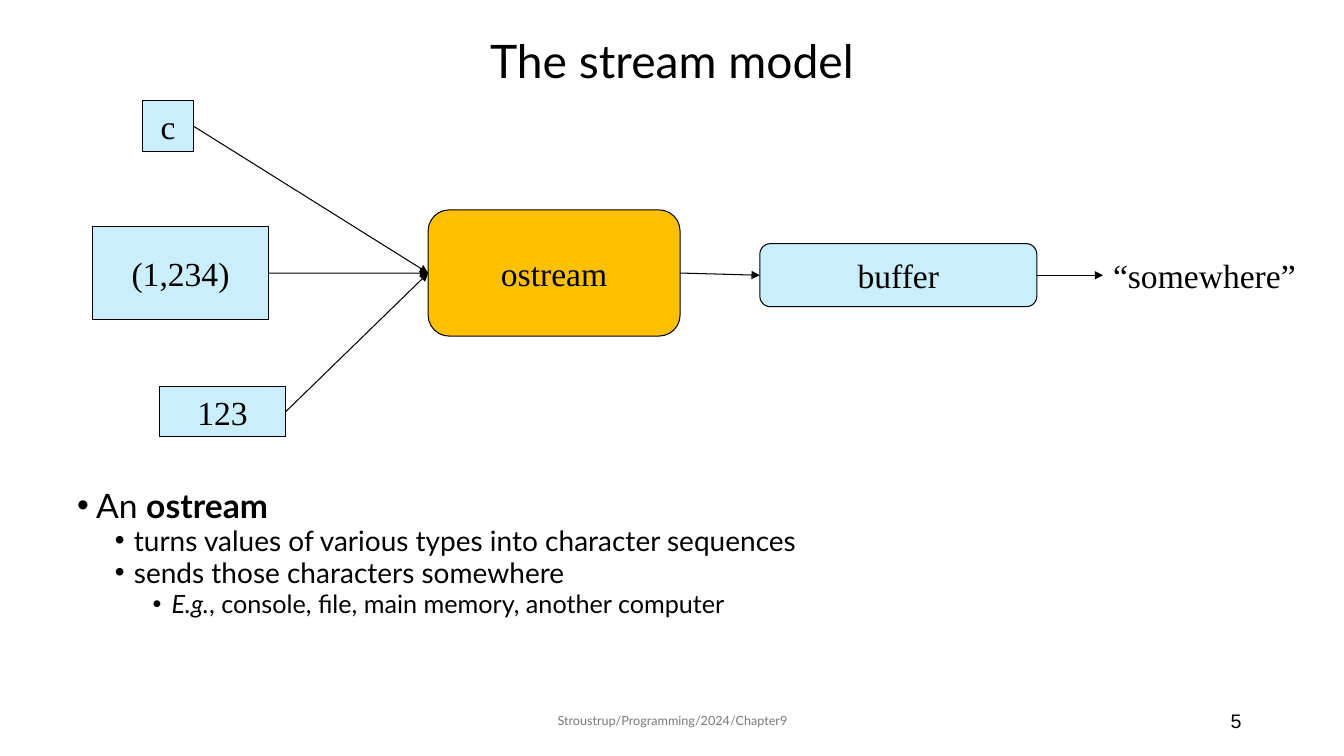
from pptx import Presentation
from pptx import util as u
from pptx.dml.color import RGBColor
from pptx.enum import shapes, text
from pptx.oxml.ns import qn
from lxml import etree

BLACK = RGBColor(0x00, 0x00, 0x00)
GRAY = RGBColor(0x79, 0x79, 0x79)
SKY = RGBColor(0xCA, 0xEE, 0xFB)
AMBER = RGBColor(0xFF, 0xC0, 0x00)

RECT = shapes.MSO_SHAPE.RECTANGLE
ROUNDED = shapes.MSO_SHAPE.ROUNDED_RECTANGLE
LEFT_SITE, RIGHT_SITE = 1, 3


def place(shape, box):
    shape.left, shape.top, shape.width, shape.height = (u.Cm(v) for v in box)


def style(paragraph, font_name, size, color=BLACK, align=None):
    paragraph.font.name = font_name
    paragraph.font.size = u.Pt(size)
    paragraph.font.color.rgb = color
    paragraph.alignment = align


def add_label(slide, box, words, font_name, size, color, align,
              anchor=text.MSO_ANCHOR.MIDDLE):
    label = slide.shapes.add_textbox(*(u.Cm(v) for v in box))
    frame = label.text_frame
    frame.word_wrap = True
    frame.vertical_anchor = anchor
    frame.text = words
    style(frame.paragraphs[0], font_name, size, color, align)
    return label


def add_node(slide, box, words, preset, fill):
    node = slide.shapes.add_shape(preset, *(u.Cm(v) for v in box))
    node.shadow.inherit = False
    node.fill.solid()
    node.fill.fore_color.rgb = fill
    node.line.color.rgb = BLACK
    node.line.width = u.Pt(0.75)
    frame = node.text_frame
    frame.word_wrap = False
    frame.vertical_anchor = text.MSO_ANCHOR.MIDDLE
    frame.text = words
    style(frame.paragraphs[0], "Times New Roman", 24, BLACK, text.PP_ALIGN.CENTER)
    return node


def add_arrow(slide, source, target):
    arrow = slide.shapes.add_connector(shapes.MSO_CONNECTOR.STRAIGHT, 0, 0, 0, 0)
    arrow.begin_connect(source, RIGHT_SITE)
    arrow.end_connect(target, LEFT_SITE)
    arrow.line.color.rgb = BLACK
    arrow.line.width = u.Pt(0.75)
    etree.SubElement(arrow.line._get_or_add_ln(), qn("a:tailEnd"), type="triangle")
    etree.SubElement(arrow._element.spPr, qn("a:effectLst"))


def add_title(slide, box):
    title = slide.shapes.title
    place(title, box)
    frame = title.text_frame
    frame.auto_size = text.MSO_AUTO_SIZE.NONE
    frame.vertical_anchor = text.MSO_ANCHOR.MIDDLE
    frame.text = "The stream model"
    style(frame.paragraphs[0], "Lato", 33, BLACK, text.PP_ALIGN.CENTER)
    frame.paragraphs[0].line_spacing = 0.9


def add_stream_diagram(slide, left, top):
    def at(dx, dy, width, height):
        return left + dx, top + dy, width, height

    char = add_node(slide, at(1.27, 0, 1.27, 1.27), "c", RECT, SKY)
    pair = add_node(slide, at(0, 3.18, 4.44, 2.33), "(1,234)", RECT, SKY)
    integer = add_node(slide, at(1.69, 7.2, 3.18, 1.27), "123", RECT, SKY)
    ostream = add_node(slide, at(8.46, 2.75, 6.35, 3.18), "ostream", ROUNDED, AMBER)
    buffer = add_node(slide, at(16.82, 3.6, 6.98, 1.59), "buffer", ROUNDED, SKY)
    somewhere = add_label(slide, at(25.47, 3.76, 5.51, 1.27), "“somewhere”",
                          "Times New Roman", 24, BLACK, text.PP_ALIGN.LEFT,
                          text.MSO_ANCHOR.TOP)
    for source, target in ((char, ostream), (pair, ostream), (integer, ostream),
                           (ostream, buffer), (buffer, somewhere)):
        add_arrow(slide, source, target)


def add_summary(slide, box):
    summary = slide.placeholders[1]
    place(summary, box)
    frame = summary.text_frame
    frame.auto_size = text.MSO_AUTO_SIZE.NONE
    points = (
        (0, (("An ", None, None), ("ostream", True, None))),
        (1, (("turns values of various types into character sequences", None, None),)),
        (1, (("sends those characters somewhere", None, None),)),
        (2, (("E.g.", None, True), (", console, file, main memory, another computer", None, None))),
    )
    sizes = (24, 20, 18)
    for index, (level, runs) in enumerate(points):
        point = frame.add_paragraph() if index else frame.paragraphs[0]
        point.level = level
        point.line_spacing = 0.8
        point.space_before = u.Pt(3.8 if level else 7.5)
        style(point, "Lato", sizes[level])
        for words, bold, italic in runs:
            run = point.add_run()
            run.text = words
            run.font.bold = bold
            run.font.italic = italic
        props = point._p.get_or_add_pPr()
        hanging = u.Cm(0.48)
        props.set("marL", str(hanging + level * u.Cm(0.95)))
        props.set("indent", str(-hanging))
        bullet = etree.Element(qn("a:buChar"), char="•")
        props.find(qn("a:spcBef")).addnext(bullet)


def add_footer(slide, top, height):
    add_label(slide, (11.23, top, 11.43, height), "Stroustrup/Programming/2024/Chapter9",
              "Lato", 9, GRAY, text.PP_ALIGN.CENTER)
    add_label(slide, (23.92, top, 7.62, height), "5",
              "Arial", 14, BLACK, text.PP_ALIGN.RIGHT)


def main():
    deck = Presentation()
    deck.slide_width, deck.slide_height = u.Cm(33.87), u.Cm(19.05)
    slide = deck.slides.add_slide(deck.slide_layouts[1])
    add_title(slide, (6.14, 0, 21.59, 3.18))
    add_summary(slide, (1.69, 12.28, 26.04, 3.81))
    add_footer(slide, 17.66, 1.01)
    add_stream_diagram(slide, 2.33, 2.54)
    deck.save("out.pptx")


if __name__ == "__main__":
    main()
